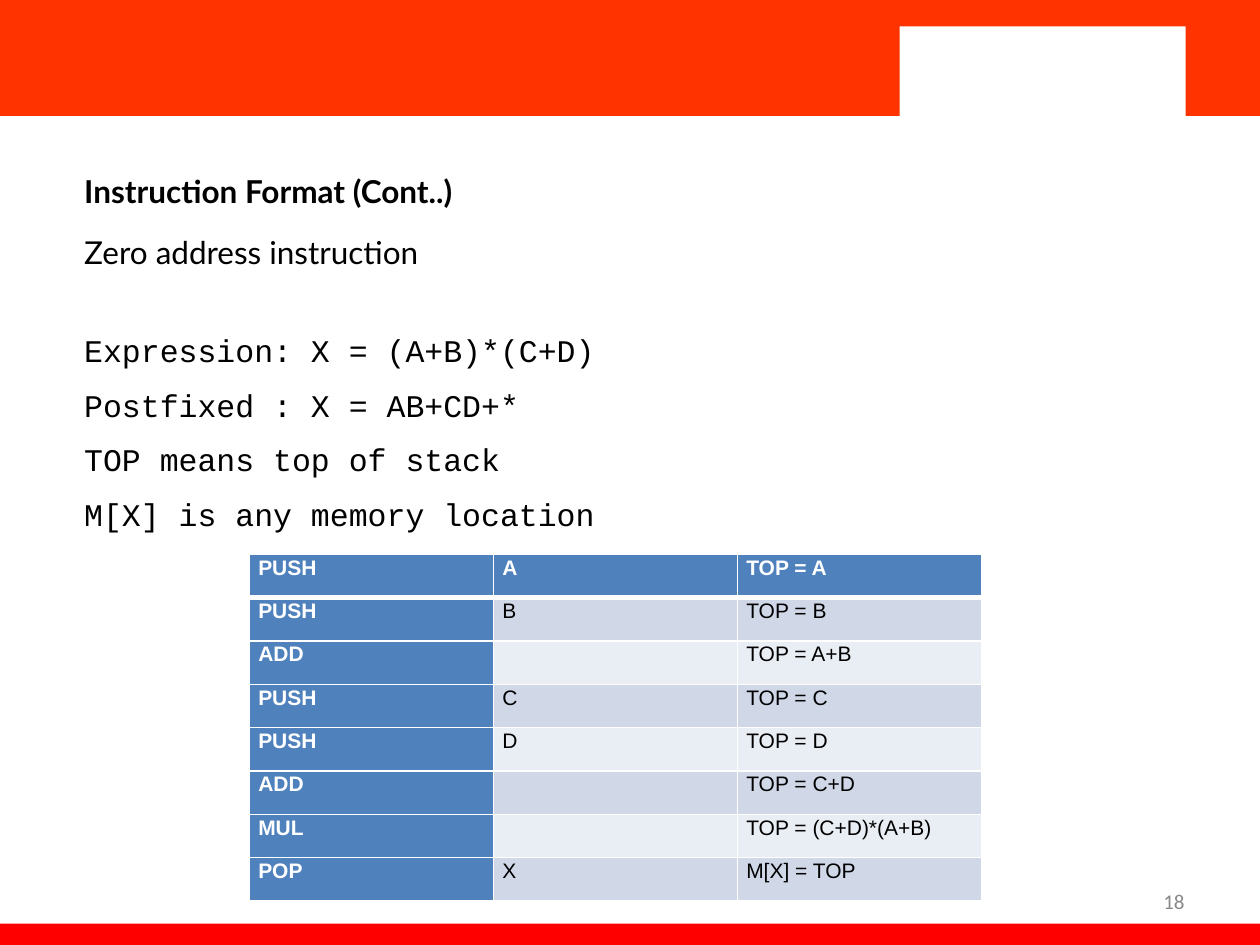
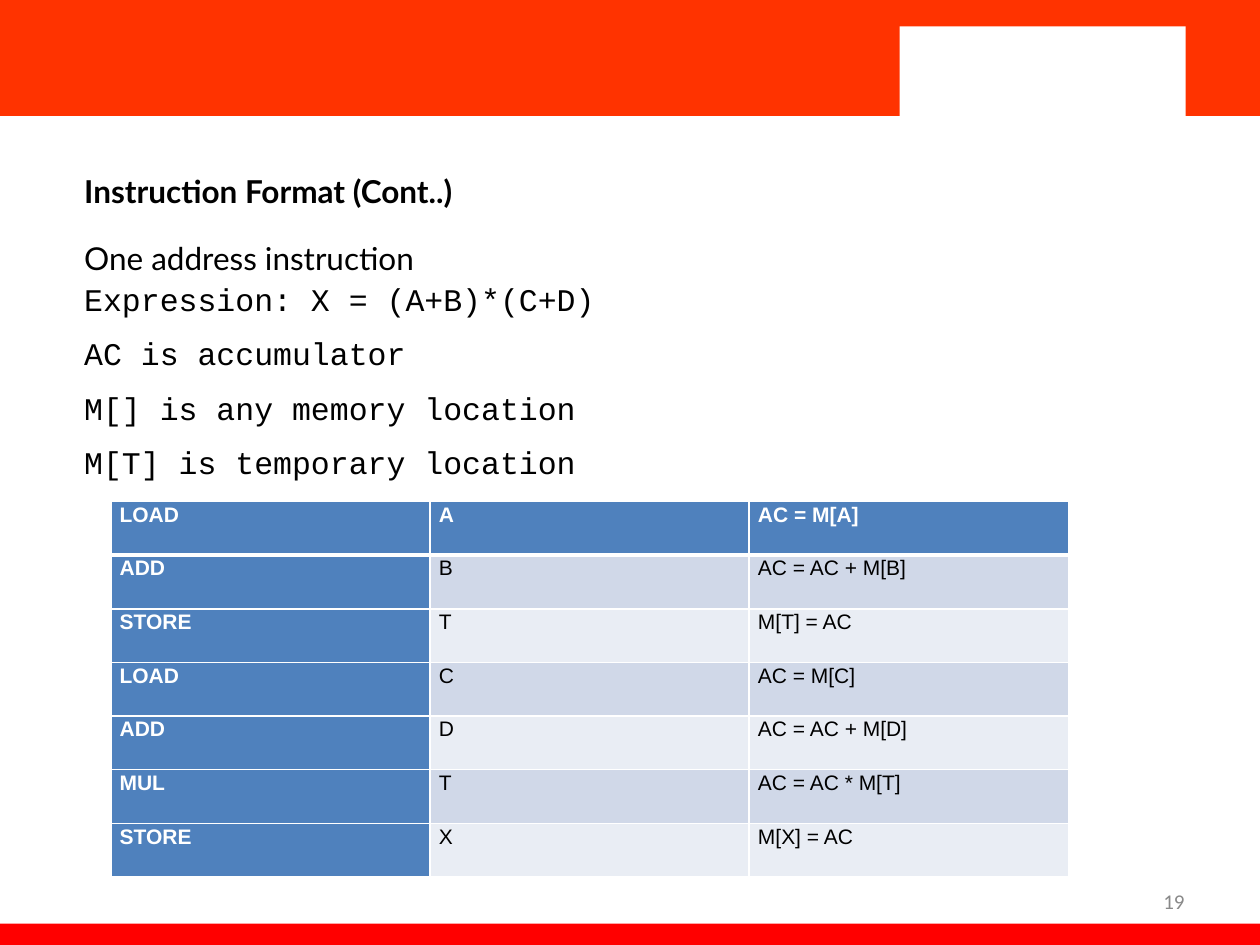
"""Two slides on zero and one address instructions, each with a table of steps."""
from lxml import etree
from pptx import Presentation
from pptx.dml.color import RGBColor
from pptx.enum.shapes import MSO_SHAPE
from pptx.enum.text import MSO_ANCHOR, PP_ALIGN
from pptx.oxml.ns import qn
from pptx.util import Inches, Pt

RECT = MSO_SHAPE.RECTANGLE
TOP, MID = MSO_ANCHOR.TOP, MSO_ANCHOR.MIDDLE
LEFT, RIGHT = PP_ALIGN.LEFT, PP_ALIGN.RIGHT
WHITE, BLACK, GREY = "FFFFFF", "000000", "898989"
FLAME, RED, BLUE = "FF3300", "FF0000", "4F81BD"
BANDS = ["E9EDF4", "D0D8E8"]
WIDE, HIGH = Inches(10), Inches(7.5)


def box(x, y, w, h):
    """Turn percent shares of the slide into left, top, width and height."""
    return [int(p * full / 100) for p, full in zip((x, y, w, h), (WIDE, HIGH) * 2)]


def ink(part, tone):
    """Give a fill or a font one solid colour."""
    if hasattr(part, "solid"):
        part.solid()
        part.fore_color.rgb = RGBColor.from_string(tone)
    else:
        part.color.rgb = RGBColor.from_string(tone)


FRAME = [
    ((0, 0, 100, 12.27), FLAME),
    ((0, 97.73, 100, 2.93), RED),
    ((67.2, 0, 32.8, 12.27), FLAME),
    ((71.4, 2.8, 22.7, 10), WHITE),
]

PAGES = [
    {
        "num": "18",
        "head": "Zero address instruction",
        "lines": ["Expression: X = (A+B)*(C+D)", "Postfixed : X = AB+CD+*",
                  "TOP means top of stack", "M[X] is any memory location"],
        "body": (5.7, 20.27, 88, 52.53), "inset": 0.18, "gap": 33,
        "grid": (19.8, 58.67, 58.1, 36.67),
        "steps": [("PUSH", "A", "TOP = A"), ("PUSH", "B", "TOP = B"),
                  ("ADD", "", "TOP = A+B"), ("PUSH", "C", "TOP = C"),
                  ("PUSH", "D", "TOP = D"), ("ADD", "", "TOP = C+D"),
                  ("MUL", "", "TOP = (C+D)*(A+B)"), ("POP", "X", "M[X] = TOP")],
    },
    {
        "num": "19",
        "head": "One address instruction",
        "lines": ["Expression: X = (A+B)*(C+D)", "AC is accumulator",
                  "M[] is any memory location", "M[T] is temporary location"],
        "body": (5.7, 20.27, 88, 41.6), "inset": 0.23, "gap": 0,
        "grid": (8.8, 53.07, 76, 39.73),
        "steps": [("LOAD", "A", "AC = M[A]"), ("ADD", "B", "AC = AC + M[B]"),
                  ("STORE", "T", "M[T] = AC"), ("LOAD", "C", "AC = M[C]"),
                  ("ADD", "D", "AC = AC + M[D]"), ("MUL", "T", "AC = AC * M[T]"),
                  ("STORE", "X", "M[X] = AC")],
    },
]

deck = Presentation()
deck.slide_width, deck.slide_height = WIDE, HIGH

for page in PAGES:
    slide = deck.slides.add_slide(deck.slide_layouts[6])
    for place, tone in FRAME:
        band = slide.shapes.add_shape(RECT, *box(*place))
        band.shadow.inherit = False
        band.line.fill.background()
        ink(band.fill, tone)

    num = ("Calibri", 12, GREY, False, RIGHT, 1, 0)
    title = ("Lato", 18, BLACK, True, LEFT, 1.5, 0)
    head = ("Lato", 18, BLACK, False, LEFT, 1.5, page["gap"])
    code = ("Courier New", 18, BLACK, False, LEFT, 1.07, 8)
    texts = [
        ((71.7, 92.67, 23.3, 5.33), MID, 0.05, [(page["num"], num)]),
        ((5.7, 14, 88, 10.53), MID, 0.04, [("Instruction Format (Cont..)", title)]),
        (page["body"], TOP, page["inset"],
         [(page["head"], head)] + [(line, code) for line in page["lines"]]),
    ]
    for place, anchor, inset, rows in texts:
        frame = slide.shapes.add_textbox(*box(*place)).text_frame
        frame.word_wrap = True
        frame.vertical_anchor = anchor
        frame.margin_top = Inches(inset)
        frame.text = "\n".join(line for line, style in rows)
        for para, (line, style) in zip(frame.paragraphs, rows):
            face, size, tone, bold, align, lead, after = style
            para.alignment = align
            para.line_spacing = lead
            para.space_after = Pt(after)
            font = para.runs[0].font
            font.name, font.size, font.bold = face, Pt(size), bold
            ink(font, tone)

    steps = page["steps"]
    place = box(*page["grid"])
    table = slide.shapes.add_table(len(steps), 3, *place).table
    for col in table.columns:
        col.width = place[2] // 3
    for r, step in enumerate(steps):
        table.rows[r].height = place[3] // len(steps)
        for c, word in enumerate(step):
            cell = table.cell(r, c)
            cell.margin_left = cell.margin_right = Inches(0.07)
            cell.margin_top = cell.margin_bottom = 0
            props = cell._tc.get_or_add_tcPr()
            for side in "LRTB":
                thick = (r, side) in [(0, "B"), (1, "T")]
                edge = etree.SubElement(props, qn("a:ln" + side), w=str(Pt(3 if thick else 1)))
                fill = etree.SubElement(edge, qn("a:solidFill"))
                etree.SubElement(fill, qn("a:srgbClr"), val=WHITE)
            label = r == 0 or c == 0
            ink(cell.fill, BLUE if label else BANDS[r % 2])
            if word:
                cell.text_frame.text = word
                para = cell.text_frame.paragraphs[0]
                para.line_spacing, para.space_after = 1.07, Pt(8)
                font = para.runs[0].font
                font.name, font.size, font.bold = "Arial", Pt(12), label
                ink(font, WHITE if label else BLACK)

deck.save("out.pptx")
